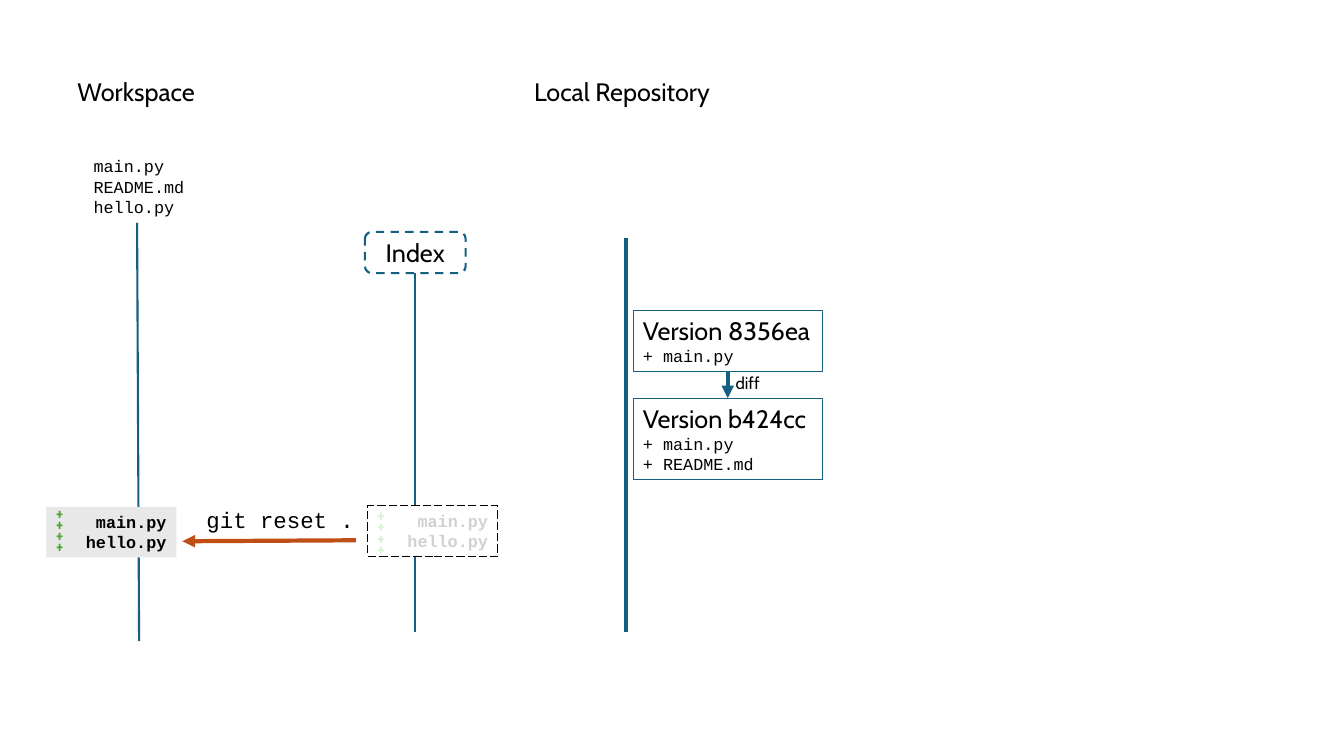
from lxml.etree import SubElement as Sub
from pptx import Presentation
from pptx.dml.color import RGBColor as RGB
from pptx.enum.dml import MSO_LINE_DASH_STYLE as Dash
from pptx.enum.shapes import MSO_CONNECTOR as Conn, MSO_SHAPE as Kind
from pptx.enum.text import MSO_ANCHOR as Anchor, MSO_AUTO_SIZE as Auto, PP_ALIGN as Align
from pptx.oxml.ns import qn
from pptx.util import Inches, Pt

# Content
HEADS = [("Workspace", 6.7, 14.3), ("Local Repository", 52, 20.2)]
FILES = ["main.py", "README.md", "hello.py"]
STAGED = ["main.py", "hello.py"]
VERSIONS = [
    ("Version 8356ea", ["+ main.py"], 30.8, 6.1),
    ("Version b424cc", ["+ main.py", "+ README.md"], 39.5, 8.1),
]
COMMAND = "git reset ."

# Grid: cells of a tenth of an inch
CELL = Inches(0.1)
WIDE, HIGH = 133.33, 75
WORK, INDEX, REPO = 13.8, 41.2, 62.1
FOOT = 62.7

HEX = {"blue": "156082", "rust": "C04F15", "black": "000000", "white": "FFFFFF",
       "gray": "E8E8E8", "faded": "D1D1D1", "green": "4EA72E", "mint": "D9F2D0"}
HEAD = {"name": "Cabin", "size": Pt(18)}
NOTE = {"name": "Cabin", "size": Pt(12)}
CODE = {"name": "Courier New", "size": Pt(12)}
BOLD = {**CODE, "bold": True}
SHELL = {"name": "Courier New", "size": Pt(16)}
PLUS = {"name": "Roboto Condensed", "size": Pt(10), "bold": True}

deck = Presentation()
deck.slide_width, deck.slide_height = cells = int(WIDE * CELL), int(HIGH * CELL)
shapes = deck.slides.add_slide(deck.slide_layouts[6]).shapes


def color(key):
    return RGB.from_string(HEX[key])


def write(shape, lines, tint="black", align=Align.LEFT, wrap=False,
          auto=Auto.SHAPE_TO_FIT_TEXT, anchor=Anchor.TOP, space=None):
    """Fill a shape with (text, format) lines."""
    frame = shape.text_frame
    for name, value in {"word_wrap": wrap, "auto_size": auto,
                        "vertical_anchor": anchor}.items():
        setattr(frame, name, value)
    for i, (text, form) in enumerate(lines):
        para = frame.add_paragraph() if i else frame.paragraphs[0]
        para.alignment = align
        if space:
            para.line_spacing = space
        run = para.add_run()
        run.text = text
        for name, value in form.items():
            setattr(run.font, name, value)
        run.font.color.rgb = color(tint)


def label(box, lines, **opts):
    write(shapes.add_textbox(*[int(v * CELL) for v in box]), lines, **opts)


def block(box, kind=Kind.RECTANGLE, fill=None, line=None, width=0.75, dash=None):
    shape = shapes.add_shape(kind, *[int(v * CELL) for v in box])
    shape.shadow.inherit = False
    if fill:
        shape.fill.solid()
        shape.fill.fore_color.rgb = color(fill)
    else:
        shape.fill.background()
    if line:
        shape.line.color.rgb = color(line)
        shape.line.width = Pt(width)
        shape.line.dash_style = dash
    else:
        shape.line.fill.background()
    return shape


def link(x1, y1, x2, y2, tint="blue", width=1.5, arrow=False):
    line = shapes.add_connector(Conn.STRAIGHT, *[int(v * CELL) for v in (x1, y1, x2, y2)])
    line.line.color.rgb = color(tint)
    line.line.width = Pt(width)
    if arrow:
        Sub(line.line._get_or_add_ln(), qn("a:tailEnd"), type="triangle")
    Sub(line._element.spPr, qn("a:effectLst"))
    return line


# Headings and time lines
for text, left, wide in HEADS:
    label((left, 7.1, wide, 4), [(text, HEAD)])
link(WORK, 63.6, WORK - 0.2, 22.1)
index = block((INDEX - 5, 23, 10, 4.1), Kind.ROUNDED_RECTANGLE, "white", "blue", 1.5, Dash.DASH)
write(index, [("Index", HEAD)], align=Align.CENTER, wrap=True, auto=Auto.NONE,
      anchor=Anchor.MIDDLE)
link(INDEX, FOOT, INDEX, 27.1).end_connect(index, 2)
link(REPO, FOOT, REPO, 23.6, width=2.25)
label((8.3, 15, 11.2, 7.1), [(name, CODE) for name in FILES])

# Versions with the diff arrow
cards = []
for title, names, top, high in VERSIONS:
    card = block((62.8, top, 18.8, high), line="blue")
    write(card, [(title, HEAD)] + [(name, CODE) for name in names])
    cards.append(card)
diff = link(72.2, 36.9, 72.2, 39.5, width=3, arrow=True)
diff.begin_connect(cards[0], 2)
diff.end_connect(cards[1], 0)
label((72, 36.5, 4.4, 3), [("diff", NOTE)])

# Staged files, before and after the reset
for left, top, look, tint, mark, pluses in [
    (36.5, 50.2, {"fill": "white", "line": "black", "dash": Dash.LONG_DASH},
     "faded", "mint", [50.4, 52.7]),
    (4.6, 50.3, {"fill": "gray"}, "black", "green", [50.2, 52.4]),
]:
    write(block((left, top, 12.9, 5), **look), [(name, BOLD) for name in STAGED],
          tint=tint, align=Align.RIGHT, wrap=True)
    for y in pluses:
        label((left, y, 2.8, 3.3), [("+", PLUS)] * 2, tint=mark, space=Pt(8))

# Reset command
link(35.3, 53.6, 18.1, 53.7, "rust", 3, True)
label((18.4, 49.7, 18.8, 3.7), [(COMMAND, SHELL)], align=Align.CENTER, wrap=True)

deck.save("out.pptx")
